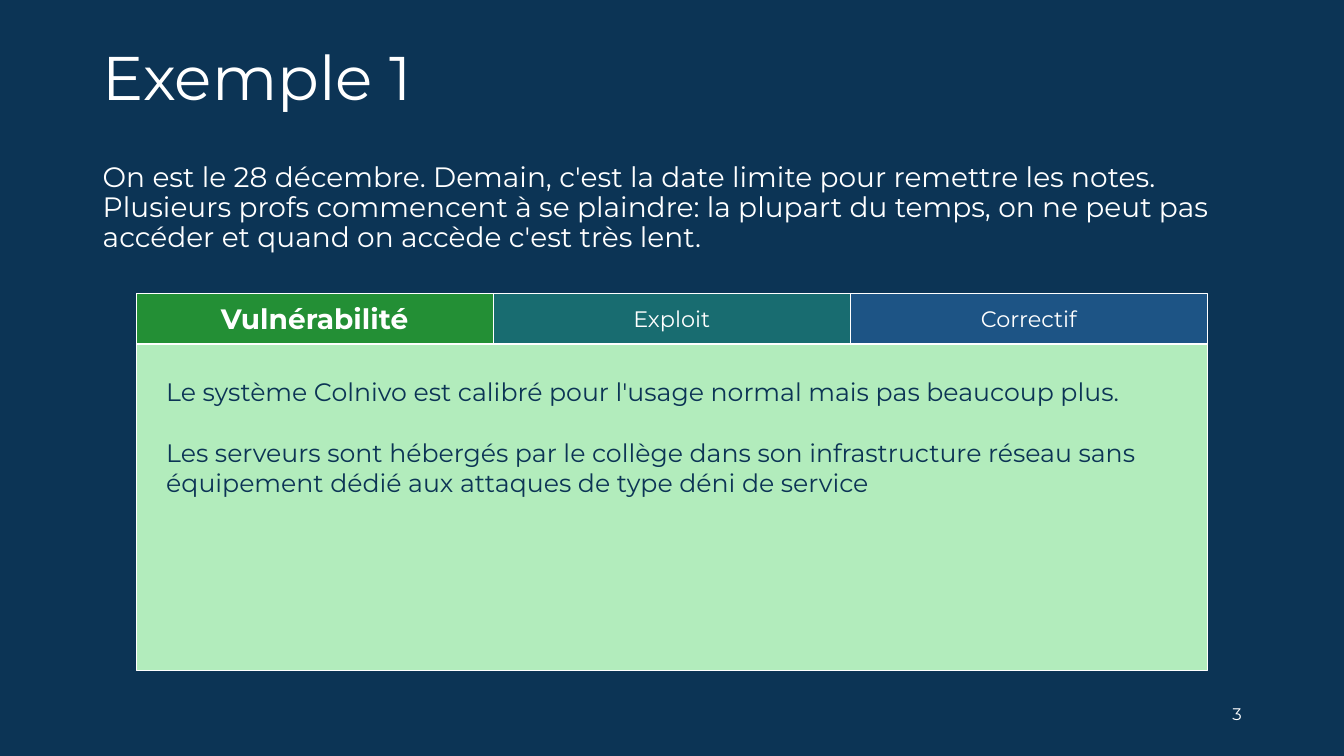
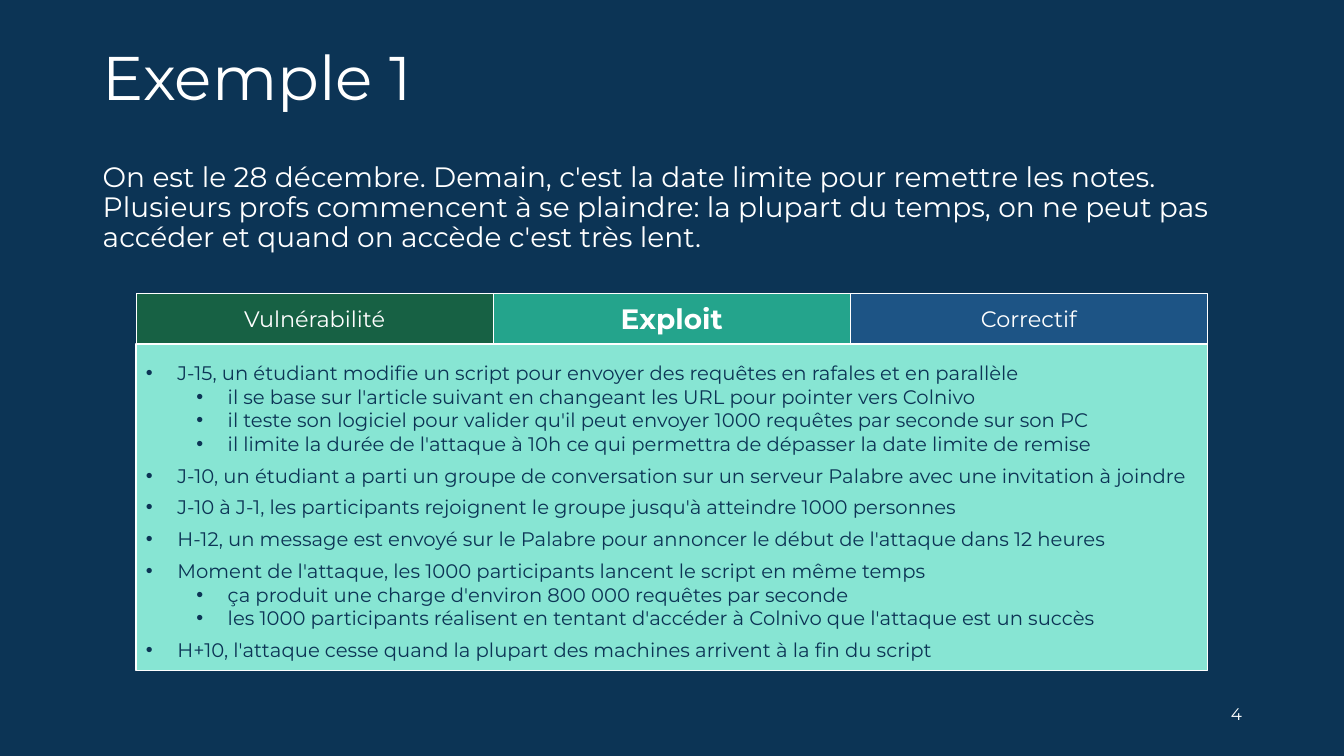
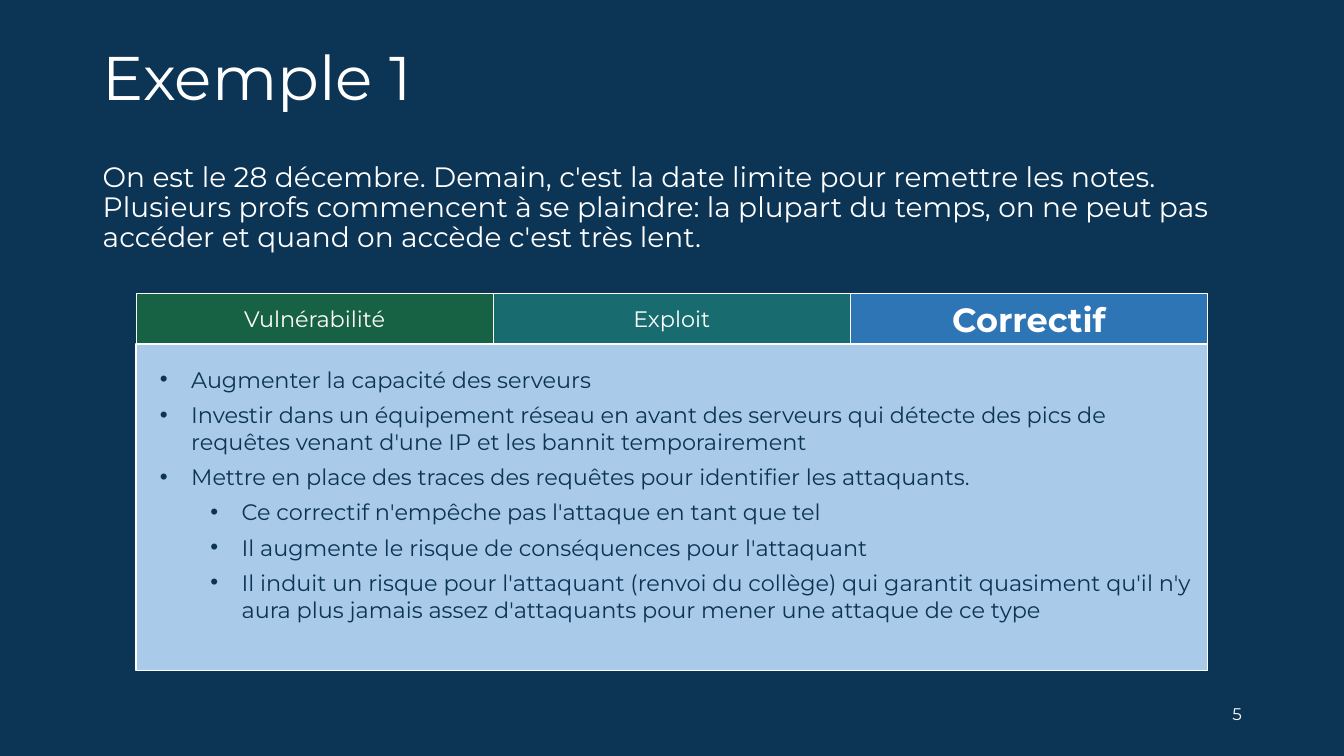
import dataclasses

import lxml.etree
import pptx
import pptx.dml.color
import pptx.enum.shapes
import pptx.enum.text
import pptx.oxml.ns
import pptx.util

Cm = pptx.util.Cm
Pt = pptx.util.Pt
ALIGN = pptx.enum.text.PP_ALIGN
ANCHOR = pptx.enum.text.MSO_ANCHOR
qn = pptx.oxml.ns.qn


@dataclasses.dataclass(frozen=True)
class Theme:
    font: str = "Montserrat"
    navy: str = "0C3455"
    white: str = "FFFFFF"
    title_size: int = 44
    intro_size: int = 20
    tab_size: int = 16
    number_size: int = 12


theme = Theme()


def rgb(code):
    return pptx.dml.color.RGBColor.from_string(code)


def write(frame, lines, size, color=theme.white, bold=False, align=ALIGN.LEFT,
          anchor=ANCHOR.TOP, spacing=1.0, before=0, after=0, bullets=False):
    """Fill a frame with (level, text) lines."""
    frame.word_wrap = True
    frame.auto_size = pptx.enum.text.MSO_AUTO_SIZE.NONE
    frame.vertical_anchor = anchor
    for index, (level, text) in enumerate(lines):
        para = frame.add_paragraph() if index else frame.paragraphs[0]
        if bullets:
            properties = para._p.get_or_add_pPr()
            properties.set("marL", str(Cm(0.79 + 1.27 * level)))
            properties.set("indent", str(-Cm(0.79)))
            lxml.etree.SubElement(properties, qn("a:buFont"), typeface="Arial")
            lxml.etree.SubElement(properties, qn("a:buChar"), char="•")
        para.level = level
        para.alignment = align
        para.line_spacing = spacing
        para.space_before = Pt(before if index and level == 0 else 0)
        para.space_after = Pt(after)
        span = para.add_run()
        span.text = text
        span.font.name = theme.font
        span.font.size = Pt(size)
        span.font.bold = bold
        span.font.color.rgb = rgb(color)


# Content: one tab and its panel per slide
INTRO = ("On est le 28 décembre. Demain, c'est la date limite pour remettre les notes. "
         "Plusieurs profs commencent à se plaindre: la plupart du temps, on ne peut pas "
         "accéder et quand on accède c'est très lent.")

topics = [
    dict(
        name="Vulnérabilité", tab_fill="238F35", panel_fill="B2ECBC",
        border=0.75, active_size=20,
        text_area=(3.94, 9.35, 26.29, 3.33),
        style=dict(size=18, before=22),
        lines=[
            (0, "Le système Colnivo est calibré pour l'usage normal mais pas beaucoup plus."),
            (0, "Les serveurs sont hébergés par le collège dans son infrastructure réseau "
                "sans équipement dédié aux attaques de type déni de service"),
        ],
    ),
    dict(
        name="Exploit", tab_fill="24A48C", panel_fill="87E5D3",
        border=1, active_size=20,
        text_area=(3.43, 8.97, 27.3, 7.9),
        style=dict(size=14, before=6, bullets=True),
        lines=[
            (0, "J-15, un étudiant modifie un script pour envoyer des requêtes en rafales et en parallèle"),
            (1, "il se base sur l'article suivant en changeant les URL pour pointer vers Colnivo"),
            (1, "il teste son logiciel pour valider qu'il peut envoyer 1000 requêtes par seconde sur son PC"),
            (1, "il limite la durée de l'attaque à 10h ce qui permettra de dépasser la date limite de remise"),
            (0, "J-10, un étudiant a parti un groupe de conversation sur un serveur Palabre "
                "avec une invitation à joindre"),
            (0, "J-10 à J-1, les participants rejoignent le groupe jusqu'à atteindre 1000 personnes"),
            (0, "H-12, un message est envoyé sur le Palabre pour annoncer le début de l'attaque dans 12 heures"),
            (0, "Moment de l'attaque, les 1000 participants lancent le script en même temps"),
            (1, "ça produit une charge d'environ 800 000 requêtes par seconde"),
            (1, "les 1000 participants réalisent en tentant d'accéder à Colnivo que l'attaque est un succès"),
            (0, "H+10, l'attaque cesse quand la plupart des machines arrivent à la fin du script"),
        ],
    ),
    dict(
        name="Correctif", tab_fill="2E75B6", panel_fill="A9CBE9",
        border=1, active_size=24,
        text_area=(3.78, 9.09, 26.64, 6.81),
        style=dict(size=16, after=6, bullets=True),
        lines=[
            (0, "Augmenter la capacité des serveurs"),
            (0, "Investir dans un équipement réseau en avant des serveurs qui détecte des pics "
                "de requêtes venant d'une IP et les bannit temporairement"),
            (0, "Mettre en place des traces des requêtes pour identifier les attaquants."),
            (1, "Ce correctif n'empêche pas l'attaque en tant que tel"),
            (1, "Il augmente le risque de conséquences pour l'attaquant"),
            (1, "Il induit un risque pour l'attaquant (renvoi du collège) qui garantit quasiment "
                "qu'il n'y aura plus jamais assez d'attaquants pour mener une attaque de ce type"),
        ],
    ),
]

# Tab and panel grid, in centimetres
LEFT, TAB_TOP, TAB_WIDTH, TAB_HEIGHT = 3.43, 7.39, 9, 1.28
PANEL_TOP, PANEL_HEIGHT = TAB_TOP + TAB_HEIGHT, 8.23
FIRST_NUMBER = 3

# Deck and shared background
deck = pptx.Presentation()
deck.slide_width = Cm(33.87)
deck.slide_height = Cm(19.05)
background = deck.slide_master.background.fill
background.solid()
background.fore_color.rgb = rgb(theme.navy)
title_only = deck.slide_layouts[5]

for number, topic in enumerate(topics, FIRST_NUMBER):
    page = deck.slides.add_slide(title_only)

    # Title
    title = page.shapes.title
    title.left, title.top = Cm(2.34), Cm(1.02)
    title.width, title.height = Cm(29.21), Cm(2.01)
    write(title.text_frame, [(0, "Exemple 1")], theme.title_size,
          anchor=ANCHOR.MIDDLE, spacing=0.9)

    # Introduction
    intro = page.shapes.add_textbox(Cm(2.34), Cm(3.99), Cm(29.21), Cm(3.02))
    write(intro.text_frame, [(0, INTRO)], theme.intro_size, spacing=0.9)

    # Slide number
    number_box = page.shapes.add_textbox(Cm(23.93), Cm(17.48), Cm(7.62), Cm(1.02))
    write(number_box.text_frame, [(0, str(number))], theme.number_size,
          align=ALIGN.RIGHT, anchor=ANCHOR.MIDDLE)

    # Three tabs, then the panel of the active one
    boxes = [(LEFT + TAB_WIDTH * column, TAB_TOP, TAB_WIDTH, TAB_HEIGHT, tab, tab["tab_fill"])
             for column, tab in enumerate(topics)]
    boxes.append((LEFT, PANEL_TOP, TAB_WIDTH * len(topics), PANEL_HEIGHT,
                  topic, topic["panel_fill"]))
    for left, top, width, height, owner, fill in boxes:
        box = page.shapes.add_shape(pptx.enum.shapes.MSO_SHAPE.RECTANGLE,
                                    Cm(left), Cm(top), Cm(width), Cm(height))
        box.shadow.inherit = False
        box.fill.solid()
        box.fill.fore_color.rgb = rgb(fill)
        box.line.color.rgb = rgb(theme.white)
        box.line.width = Pt(owner["border"])
        active = owner is topic
        if not active:
            color = box.element.spPr.find(qn("a:solidFill")).find(qn("a:srgbClr"))
            lxml.etree.SubElement(color, qn("a:alpha"), val="50000")
        if top == TAB_TOP:
            write(box.text_frame, [(0, owner["name"])],
                  owner["active_size"] if active else theme.tab_size,
                  bold=active, align=ALIGN.CENTER, anchor=ANCHOR.MIDDLE)

    # Panel text
    details = page.shapes.add_textbox(*map(Cm, topic["text_area"]))
    write(details.text_frame, topic["lines"], color=theme.navy, **topic["style"])

deck.save("out.pptx")
